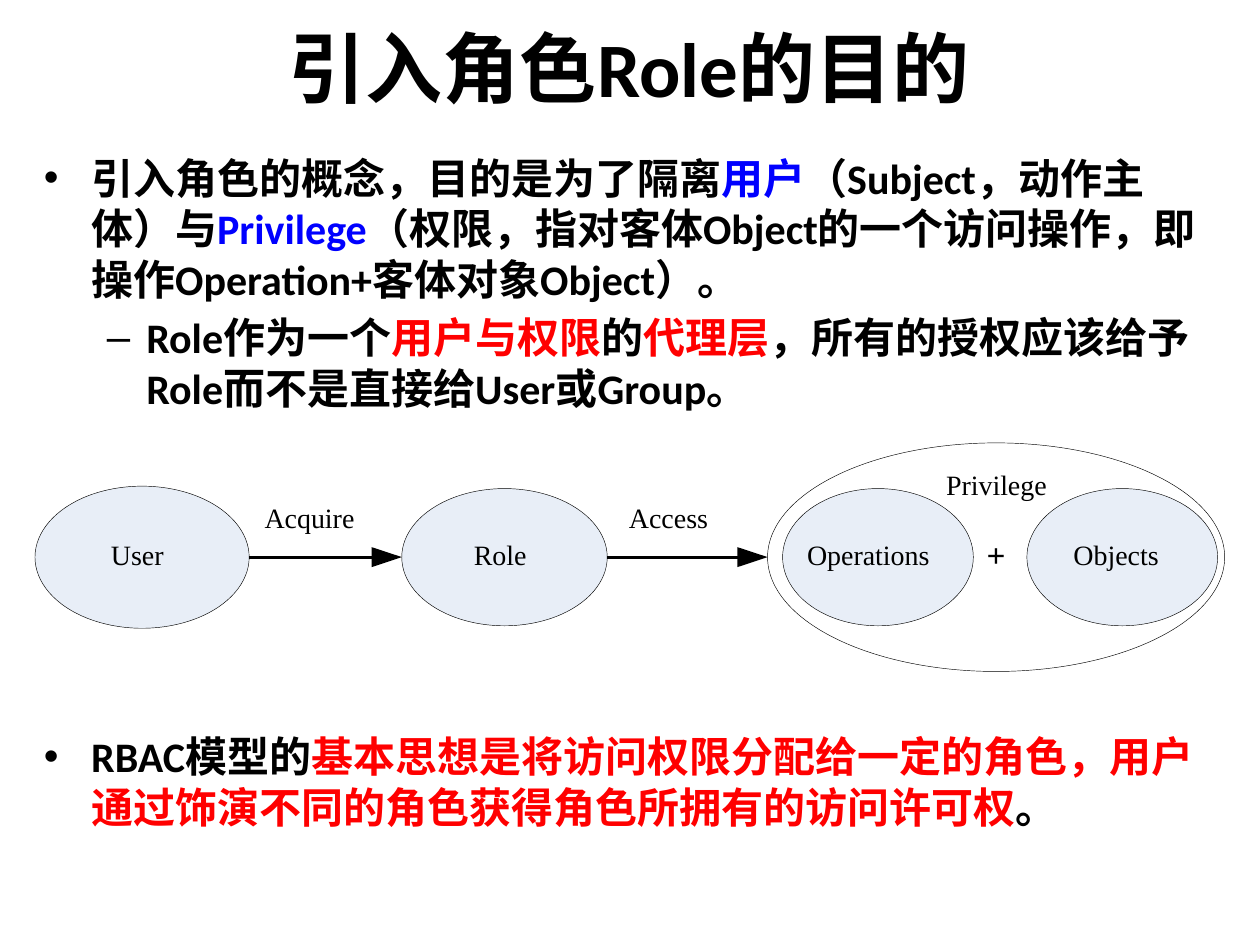
"""Build a slide on why roles sit between users and privileges."""
from lxml import etree
from pptx import Presentation
from pptx.dml.color import RGBColor
from pptx.enum import shapes as kinds, text as modes
from pptx.oxml import ns
from pptx.util import Pt

BLACK = RGBColor(0x00, 0x00, 0x00)
BLUE = RGBColor(0x00, 0x00, 0xFF)
RED = RGBColor(0xFF, 0x00, 0x00)
PALE = RGBColor(0xE8, 0xEE, 0xF7)
MID = 318.4


def style(run, size, face, color=BLACK, bold=False):
    """Set the font of one run."""
    font = run.font
    font.size, font.name, font.bold = Pt(size), face, bold
    font.color.rgb = color


def set_title(slide, words):
    """Place and format the title."""
    title = slide.shapes.title
    title.left, title.top, title.width, title.height = Pt(25), Pt(5), Pt(669), Pt(66)
    frame = title.text_frame
    frame.text = words
    frame.vertical_anchor = modes.MSO_ANCHOR.MIDDLE
    para = frame.paragraphs[0]
    para.alignment = modes.PP_ALIGN.CENTER
    style(para.runs[0], 44, "Calibri", bold=True)


def add_bullet(para, mark, left, hang):
    """Give a paragraph a hanging bullet."""
    props = para._p.get_or_add_pPr()
    props.set("marL", str(Pt(left)))
    props.set("indent", str(-Pt(hang)))
    etree.SubElement(props, ns.qn("a:buFont")).set("typeface", "Arial")
    etree.SubElement(props, ns.qn("a:buChar")).set("char", mark)


def add_list(slide, top, height, items):
    """Add a text box of bullets with coloured runs."""
    box = slide.shapes.add_textbox(Pt(18), Pt(top), Pt(682), Pt(height))
    frame = box.text_frame
    frame.word_wrap = True
    for i, (mark, left, hang, parts) in enumerate(items):
        para = frame.add_paragraph() if i else frame.paragraphs[0]
        add_bullet(para, mark, left, hang)
        if i:
            para.space_before = Pt(4.8)
        for words, color in parts:
            run = para.add_run()
            run.text = words
            style(run, 24, "Calibri", color, True)


def add_oval(slide, left, width, height, fill=None):
    """Add an oval centred on the middle line."""
    oval = slide.shapes.add_shape(
        kinds.MSO_SHAPE.OVAL, Pt(left), Pt(MID - height / 2), Pt(width), Pt(height))
    oval.shadow.inherit = False
    if fill is None:
        oval.fill.background()
    else:
        oval.fill.solid()
        oval.fill.fore_color.rgb = fill
    oval.line.color.rgb = BLACK
    oval.line.width = Pt(0.25)


def add_label(slide, words, left, top, width, size=16, bold=False):
    """Add a label without margins."""
    box = slide.shapes.add_textbox(Pt(left), Pt(top), Pt(width), Pt(size * 1.6))
    frame = box.text_frame
    frame.margin_left = frame.margin_right = frame.margin_top = frame.margin_bottom = 0
    frame.word_wrap = True
    frame.text = words
    style(frame.paragraphs[0].runs[0], size, "Times New Roman", bold=bold)


def add_arrow(slide, start, end):
    """Add a line on the middle line with a long solid head."""
    neck = end - 17.2
    line = slide.shapes.add_connector(
        kinds.MSO_CONNECTOR.STRAIGHT, Pt(start), Pt(MID), Pt(neck + 1.5), Pt(MID))
    line.line.color.rgb = BLACK
    line.line.width = Pt(1.63)
    etree.SubElement(line._element.spPr, ns.qn("a:effectLst"))
    pen = slide.shapes.build_freeform(Pt(neck), Pt(MID - 5.7))
    pen.add_line_segments([(Pt(end), Pt(MID)), (Pt(neck), Pt(MID + 5.7))], close=True)
    head = pen.convert_to_shape()
    head.shadow.inherit = False
    head.fill.solid()
    head.fill.fore_color.rgb = BLACK
    head.line.fill.background()


def add_flow(slide):
    """Draw the path from user through role to privilege."""
    add_oval(slide, 438.6, 261.2, 130.6)
    for left, width, height in ((20, 122.4, 81.2), (229.6, 117.4, 78.4),
                                (447.2, 109, 78.4), (586.8, 109, 78.4)):
        add_oval(slide, left, width, height, PALE)
    for start, end in ((142.4, 229.6), (347, 438.6)):
        add_arrow(slide, start, end)
    for words, left, top, width in (
            ("User", 63.4, 307.4, 42), ("Role", 270.8, 307.4, 42),
            ("Operations", 461.2, 307.4, 88), ("Objects", 613.4, 307.4, 63),
            ("Acquire", 151.2, 285.8, 67), ("Access", 359.4, 285.8, 59),
            ("Privilege", 540.6, 267, 73)):
        add_label(slide, words, left, top, width)
    add_label(slide, "+", 563.8, 305.4, 22, 19, True)


def main():
    """Build and save the slide."""
    deck = Presentation()
    deck.slide_width, deck.slide_height = Pt(720), Pt(540)
    slide = deck.slides.add_slide(deck.slide_layouts[5])
    set_title(slide, "引入角色Role的目的")
    add_list(slide, 83.5, 164, [
        ("•", 27, 27, [
            ("引入角色的概念，目的是为了隔离", BLACK), ("用户", BLUE),
            ("（Subject，动作主体）与", BLACK), ("Privilege", BLUE),
            ("（权限，指对客体Object的一个访问操作，"
             "即操作Operation+客体对象Object）。", BLACK)]),
        ("–", 58.5, 22.5, [
            ("Role作为一个", BLACK), ("用户与权限", RED), ("的", BLACK),
            ("代理层", RED),
            ("，所有的授权应该给予Role而不是直接给User或Group。", BLACK)])])
    add_flow(slide)
    add_list(slide, 414, 65.5, [
        ("•", 27, 27, [
            ("RBAC模型的", BLACK),
            ("基本思想是将访问权限分配给一定的角色，"
             "用户通过饰演不同的角色获得角色所拥有的访问许可权", RED),
            ("。", BLACK)])])
    deck.save("out.pptx")


if __name__ == "__main__":
    main()
